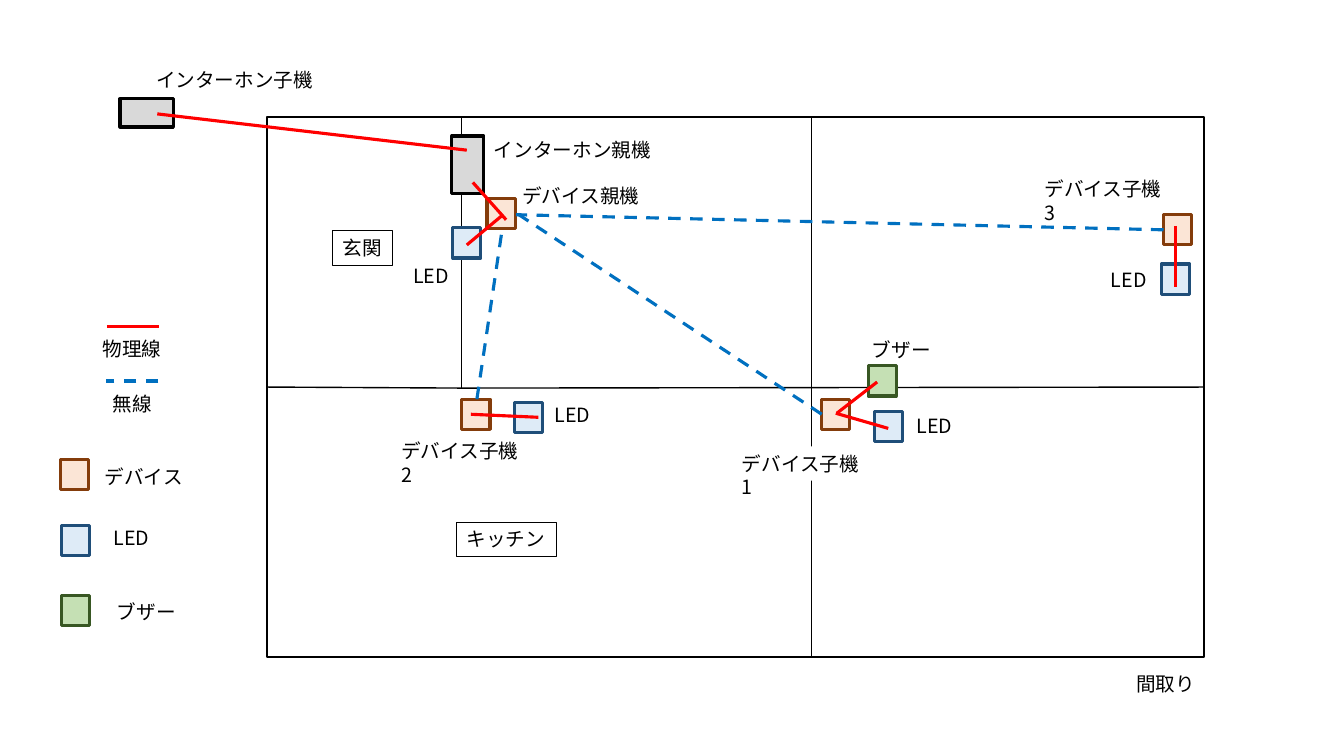
from dataclasses import dataclass

from lxml import etree
from pptx import Presentation
from pptx.dml.color import RGBColor
from pptx.enum.dml import MSO_LINE
from pptx.enum.shapes import MSO_CONNECTOR, MSO_SHAPE
from pptx.enum.text import MSO_ANCHOR, PP_ALIGN
from pptx.oxml.ns import qn
from pptx.util import Inches, Pt

RECTANGLE = MSO_SHAPE.RECTANGLE
STRAIGHT = MSO_CONNECTOR.STRAIGHT
DASH = MSO_LINE.DASH
TOP = MSO_ANCHOR.TOP
LEFT = PP_ALIGN.LEFT
BLANK_LAYOUT = 6


@dataclass(frozen=True)
class Theme:
    """Colours, type and line widths of the floor plan."""
    font: str = "Noto Sans CJK JP"
    text_size: float = 14
    black: str = "000000"
    white: str = "FFFFFF"
    wire: str = "FF0000"
    wireless: str = "0070C0"
    intercom: tuple = ("D9D9D9", "000000")
    device: tuple = ("FBE5D6", "843C0B")
    led: tuple = ("DEEBF7", "1F4E79")
    buzzer: tuple = ("C5E0B4", "385723")
    thick: float = 2.25
    outline: float = 1.5
    wall: float = 1
    thin: float = 0.75


THEME = Theme()
UNIT_SIZE = (0.28, 0.3)
LABEL_HEIGHT = 0.34
CHILD_LABEL_WIDTH = 1.49

WALLS = [
    (4.58, 1.17, 4.58, 3.85),
    (2.65, 3.84, 4.58, 3.85),
    (8.05, 1.17, 8.05, 6.52),
    (4.58, 3.85, 11.94, 3.84),
]
INTERCOMS = [(4.48, 1.35, 0.32, 0.57), (1.19, 0.98, 0.53, 0.28)]
# The last position of each kind is its legend key.
UNITS = [
    (THEME.device, [(4.83, 1.97), (4.58, 3.96), (8.15, 3.96), (11.54, 2.13), (0.6, 4.56)]),
    (THEME.led, [(8.67, 4.08), (11.52, 2.62), (5.1, 3.99), (4.49, 2.26), (0.61, 5.21)]),
    (THEME.buzzer, [(8.61, 3.63), (0.61, 5.91)]),
]
LABELS = [
    ("インターホン子機", 1.45, 0.62, 1.77),
    ("インターホン親機", 4.8, 1.32, 1.77),
    ("デバイス親機", 5.08, 1.78, 1.38),
    ("ブザー", 8.55, 3.3, 0.79),
    ("間取り", 11.17, 6.62, 0.79),
    ("物理線", 0.92, 3.29, 0.79),
    ("無線", 1.02, 3.84, 0.59),
    ("デバイス", 0.94, 4.56, 0.99),
    ("LED", 1.03, 5.17, 0.59),
    ("ブザー", 1.06, 5.9, 0.79),
    ("LED", 8.99, 4.06, 0.59),
    ("LED", 10.92, 2.61, 0.59),
    ("LED", 5.4, 3.95, 0.59),
    ("LED", 4, 2.57, 0.59),
]
CHILD_LABELS = [
    ("デバイス子機1", 7.26, 4.43, THEME.white),
    ("デバイス子機2", 3.88, 4.31, None),
    ("デバイス子機3", 10.26, 1.71, None),
]
ROOMS = [("玄関", 3.3, 2.29, 0.59), ("キッチン", 4.53, 5.18, 0.99)]
WIRELESS_LINKS = [
    (4.73, 3.96, 4.98, 2.28),
    (11.54, 2.28, 5.12, 2.13),
    (8.15, 4.11, 5.1, 2.1),
    (1.57, 3.78, 1.05, 3.78),
]
WIRES = [
    (8.3, 4.1, 8.7, 3.79),
    (4.69, 1.81, 5.02, 2.18),
    (1.56, 1.13, 4.63, 1.49),
    (1.06, 3.24, 1.58, 3.24),
    (8.29, 4.1, 8.81, 4.25),
    (11.66, 2.24, 11.66, 2.85),
    (4.67, 4.11, 5.34, 4.14),
    (4.99, 2.13, 4.63, 2.43),
]


def add_box(slide, bounds, fill, line, width):
    """Add a rectangle with an optional fill."""
    shape = slide.shapes.add_shape(RECTANGLE, *map(Inches, bounds))
    shape.shadow.inherit = False
    if fill:
        shape.fill.solid()
        shape.fill.fore_color.rgb = RGBColor.from_string(fill)
    else:
        shape.fill.background()
    shape.line.color.rgb = RGBColor.from_string(line)
    shape.line.width = Pt(width)
    return shape


def add_line(slide, ends, color, width, dash=None):
    """Add a straight line, dashed on request."""
    connector = slide.shapes.add_connector(STRAIGHT, *map(Inches, ends))
    connector.line.color.rgb = RGBColor.from_string(color)
    connector.line.width = Pt(width)
    if dash:
        connector.line.dash_style = dash
    etree.SubElement(connector._element.spPr, qn("a:effectLst"))


def write_text(shape, text, right_margin=0):
    """Write one left-aligned run at the top of a shape."""
    frame = shape.text_frame
    frame.word_wrap = True
    frame.vertical_anchor = TOP
    frame.margin_right = Inches(right_margin)
    paragraph = frame.paragraphs[0]
    paragraph.alignment = LEFT
    run = paragraph.add_run()
    run.text = text
    run.font.name = THEME.font
    run.font.size = Pt(THEME.text_size)
    run.font.color.rgb = RGBColor.from_string(THEME.black)
    east_asian = etree.Element(qn("a:ea"), typeface=THEME.font)
    run.font._element.find(qn("a:latin")).addnext(east_asian)


def add_label(slide, text, left, top, width, fill=None, right_margin=0):
    """Add a text box; a wider right margin moves the number to line two."""
    bounds = (left, top, width, LABEL_HEIGHT)
    box = slide.shapes.add_textbox(*map(Inches, bounds))
    if fill:
        box.fill.solid()
        box.fill.fore_color.rgb = RGBColor.from_string(fill)
    write_text(box, text, right_margin)


def add_room(slide, text, left, top, width):
    """Add a room name in a thin frame."""
    bounds = (left, top, width, LABEL_HEIGHT)
    write_text(add_box(slide, bounds, None, THEME.black, THEME.thin), text)


def main():
    """Build the floor plan with its devices, links and legend."""
    presentation = Presentation()
    presentation.slide_width = Inches(13.33)
    presentation.slide_height = Inches(7.5)
    slide = presentation.slides.add_slide(presentation.slide_layouts[BLANK_LAYOUT])

    add_box(slide, (2.65, 1.16, 9.29, 5.36), None, THEME.black, THEME.outline)
    for wall in WALLS:
        add_line(slide, wall, THEME.black, THEME.wall)
    for bounds in INTERCOMS:
        add_box(slide, bounds, *THEME.intercom, THEME.thick)
    for text, left, top, fill in CHILD_LABELS:
        add_label(slide, text, left, top, CHILD_LABEL_WIDTH, fill, right_margin=0.2)
    for colors, positions in UNITS:
        for position in positions:
            add_box(slide, position + UNIT_SIZE, *colors, THEME.thick)
    for label in LABELS:
        add_label(slide, *label)
    for room in ROOMS:
        add_room(slide, *room)
    for link in WIRELESS_LINKS:
        add_line(slide, link, THEME.wireless, THEME.thick, DASH)
    for wire in WIRES:
        add_line(slide, wire, THEME.wire, THEME.thick)

    presentation.save("out.pptx")


main()
